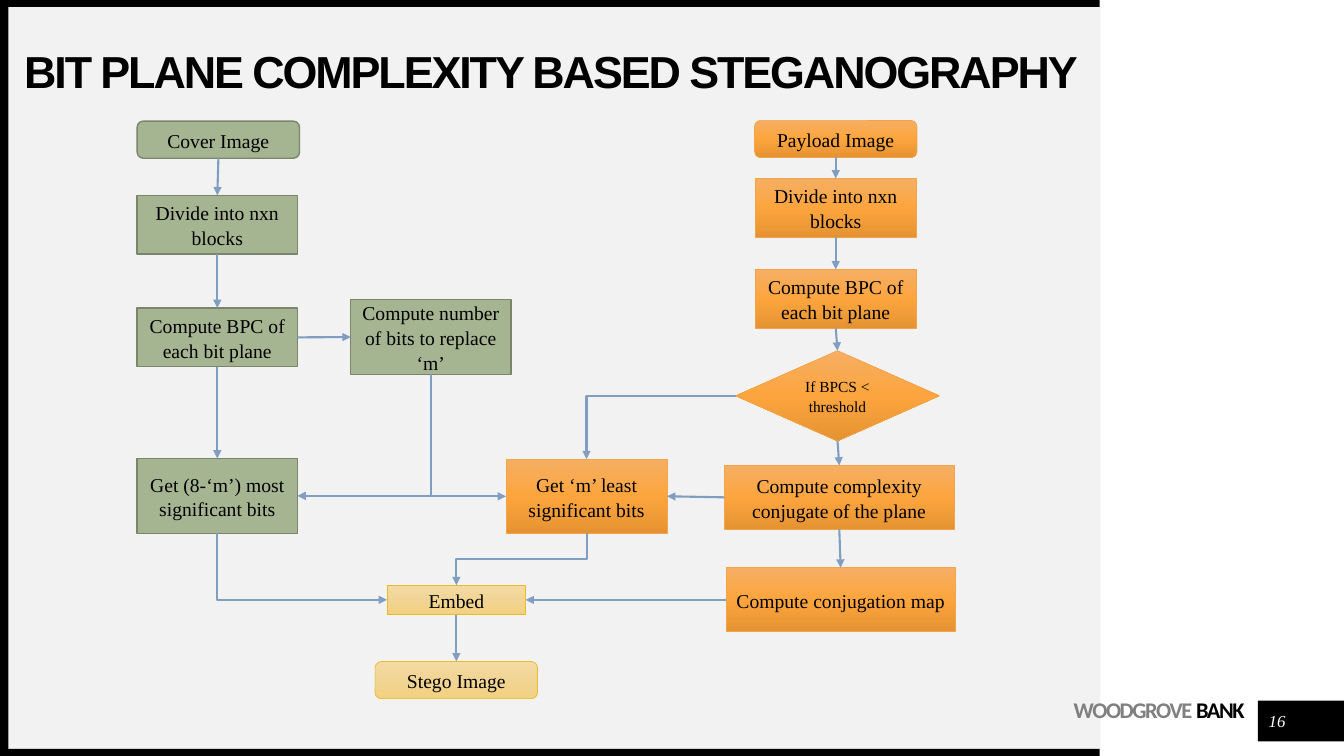
from lxml import etree
from pptx import Presentation
from pptx.dml.color import RGBColor
from pptx.enum.shapes import MSO_CONNECTOR, MSO_SHAPE
from pptx.enum.text import MSO_ANCHOR, PP_ALIGN
from pptx.oxml.ns import qn
from pptx.util import Pt


def rgb(color):
    return RGBColor.from_string(color)


def write(sp, runs, size, font, align, spacing=1.0, inset=(0, 0, 0, 0)):
    tf = sp.text_frame
    tf.word_wrap = True
    tf.vertical_anchor = MSO_ANCHOR.MIDDLE
    tf.margin_left, tf.margin_top, tf.margin_right, tf.margin_bottom = map(Pt, inset)
    p = tf.paragraphs[0]
    p.alignment = align
    p.line_spacing = spacing
    for text, color in runs:
        r = p.add_run()
        r.text = text
        r.font.size = Pt(size)
        r.font.name = font
        r.font.color.rgb = rgb(color)
    return p


prs = Presentation()
prs.slide_width, prs.slide_height = Pt(960), Pt(540)
s = prs.slides.add_slide(prs.slide_layouts[6])

panels = [
    (6, 5, 780, 530, "F2F2F2"),
    (898.5, 500.5, 61.5, 29, "000000"),
    (0, 535, 785.5, 5, "000000"),
    (0, 0, 785.5, 5, "000000"),
    (0, 0, 6, 540, "000000"),
]
for x, y, w, h, color in panels:
    sp = s.shapes.add_shape(MSO_SHAPE.RECTANGLE, Pt(x), Pt(y), Pt(w), Pt(h))
    sp.shadow.inherit = False
    sp.fill.solid()
    sp.fill.fore_color.rgb = rgb(color)
    sp.line.fill.background()

title = s.shapes.add_textbox(Pt(17.25), Pt(12.5), Pt(786), Pt(80.5))
p = write(title, [("BIT PLANE COMPLEXITY BASED STEGANOGRAPHY", "000000")],
          32, "Arial", PP_ALIGN.LEFT, 0.9)
p.runs[0].font.bold = True
p.runs[0].font._element.set("spc", "-150")

bank = s.shapes.add_textbox(Pt(758), Pt(499.5), Pt(131), Pt(31.5))
p = write(bank, [("WOODGROVE ", "808080"), ("BANK", "000000")],
          16, "Calibri", PP_ALIGN.RIGHT, Pt(14), (0, 3, 0, 0))
bank.text_frame.vertical_anchor = MSO_ANCHOR.TOP
for r in p.runs:
    r.font.bold = True
    r.font._element.set("spc", "-100")

number = s.shapes.add_textbox(Pt(901.5), Pt(504), Pt(21.5), Pt(21.5))
p = write(number, [("16", "FFFFFF")], 12, "Times New Roman", PP_ALIGN.CENTER)
p.runs[0].font.italic = True

GREEN = (["A5B592"], "7A866C", 1)
ORANGE = (["F6AE64", "FCA53E", "E59332"], "F3A447", 0.5)
YELLOW = (["F4DBA3", "F1D494", "F3D180"], "E7BC29", 0.5)
ROUND = MSO_SHAPE.FLOWCHART_ALTERNATE_PROCESS
RECT = MSO_SHAPE.RECTANGLE
DIAMOND = MSO_SHAPE.FLOWCHART_DECISION

steps = [
    ("cover", ROUND, 98, 86.5, 116, 26.5, GREEN, "Cover Image"),
    ("payload", ROUND, 539, 86, 116, 26.5, ORANGE, "Payload Image"),
    ("stego", ROUND, 268, 472.5, 116, 26.5, YELLOW, "Stego Image"),
    ("cover blocks", RECT, 98, 139.5, 114.5, 42, GREEN, "Divide into nxn blocks"),
    ("cover bpc", RECT, 98, 220, 114.5, 42, GREEN, "Compute BPC of each bit plane"),
    ("bits", RECT, 250.5, 214, 114.5, 53.5, GREEN, "Compute number of bits to replace ‘m’"),
    ("payload blocks", RECT, 539.5, 127.5, 115, 42, ORANGE, "Divide into nxn blocks"),
    ("conjugate", RECT, 517.5, 332.5, 164, 45.5, ORANGE, "Compute complexity conjugate of the plane"),
    ("payload bpc", RECT, 539.5, 192.5, 115, 42, ORANGE, "Compute BPC of each bit plane"),
    ("decision", DIAMOND, 525.5, 250.5, 145.5, 64.5, ORANGE, "If BPCS < threshold"),
    ("most", RECT, 98, 327.5, 114.5, 53.5, GREEN, "Get (8-‘m’) most significant bits"),
    ("least", RECT, 361.5, 328, 115, 53, ORANGE, "Get ‘m’ least significant bits"),
    ("embed", RECT, 276.5, 418, 99, 21, YELLOW, "Embed"),
    ("map", RECT, 518.5, 405.5, 164, 45.5, ORANGE, "Compute conjugation map"),
]
boxes = {}
for name, shape, x, y, w, h, (fills, border, weight), text in steps:
    sp = s.shapes.add_shape(shape, Pt(x), Pt(y), Pt(w), Pt(h))
    sp.shadow.inherit = False
    if len(fills) == 1:
        sp.fill.solid()
        sp.fill.fore_color.rgb = rgb(fills[0])
    else:
        sp.fill.gradient()
        grad = sp._element.spPr.find(qn("a:gradFill"))
        stops = grad.find(qn("a:gsLst"))
        stops.clear()
        for i, color in enumerate(fills):
            gs = etree.SubElement(stops, qn("a:gs"), pos=str(i * 50000))
            etree.SubElement(gs, qn("a:srgbClr"), val=color)
        grad.find(qn("a:lin")).set("ang", "5400000")
    sp.line.color.rgb = rgb(border)
    sp.line.width = Pt(weight)
    size = 11 if shape == DIAMOND else 14
    p = write(sp, [(text, "000000")], size, "Times New Roman",
              PP_ALIGN.CENTER, 1.06, (7.2, 3.6, 7.2, 3.6))
    p.space_after = Pt(8)
    boxes[name] = sp

TOP, LEFT, BOTTOM, RIGHT = range(4)
links = [
    ("cover", BOTTOM, "cover blocks", TOP, "line", "tailEnd"),
    ("cover blocks", BOTTOM, "cover bpc", TOP, "line", "tailEnd"),
    ("cover bpc", BOTTOM, "most", TOP, "line", "tailEnd"),
    ("cover bpc", RIGHT, "bits", LEFT, "line", "tailEnd"),
    ("conjugate", LEFT, "least", RIGHT, "line", "tailEnd"),
    ("decision", BOTTOM, "conjugate", TOP, "line", "tailEnd"),
    ("payload bpc", BOTTOM, "decision", TOP, "line", "tailEnd"),
    ("payload blocks", BOTTOM, "payload bpc", TOP, "line", "tailEnd"),
    ("payload", BOTTOM, "payload blocks", TOP, "line", "tailEnd"),
    ("most", RIGHT, "bits", BOTTOM, "bentConnector2", "headEnd"),
    ("decision", LEFT, "least", TOP, "bentConnector2", "tailEnd"),
    ("least", LEFT, "bits", BOTTOM, "bentConnector2", "headEnd"),
    ("conjugate", BOTTOM, "map", TOP, "line", "tailEnd"),
    ("map", LEFT, "embed", RIGHT, "bentConnector3", "tailEnd"),
    ("embed", LEFT, "most", BOTTOM, "bentConnector2", "headEnd"),
    ("least", BOTTOM, "embed", TOP, "bentConnector3", "tailEnd"),
    ("embed", BOTTOM, "stego", TOP, "line", "tailEnd"),
]
for start, start_site, end, end_site, route, arrow in links:
    kind = MSO_CONNECTOR.STRAIGHT if route == "line" else MSO_CONNECTOR.ELBOW
    c = s.shapes.add_connector(kind, 0, 0, 0, 0)
    c.begin_connect(boxes[start], start_site)
    c.end_connect(boxes[end], end_site)
    c.line.color.rgb = rgb("809EC2")
    c.line.width = Pt(1.5)
    spPr = c._element.spPr
    spPr.find(qn("a:prstGeom")).set("prst", route)
    if route == "bentConnector3" and start_site == BOTTOM:
        x, y, w, h = c.left, c.top, c.width, c.height
        c.left, c.top = x + (w - h) // 2, y + (h - w) // 2
        c.width, c.height = h, w
        xfrm = spPr.find(qn("a:xfrm"))
        xfrm.set("rot", "5400000")
        xfrm.set("flipH", "0")
    etree.SubElement(spPr.find(qn("a:ln")), qn("a:" + arrow), type="triangle")
    etree.SubElement(spPr, qn("a:effectLst"))

prs.save("out.pptx")
